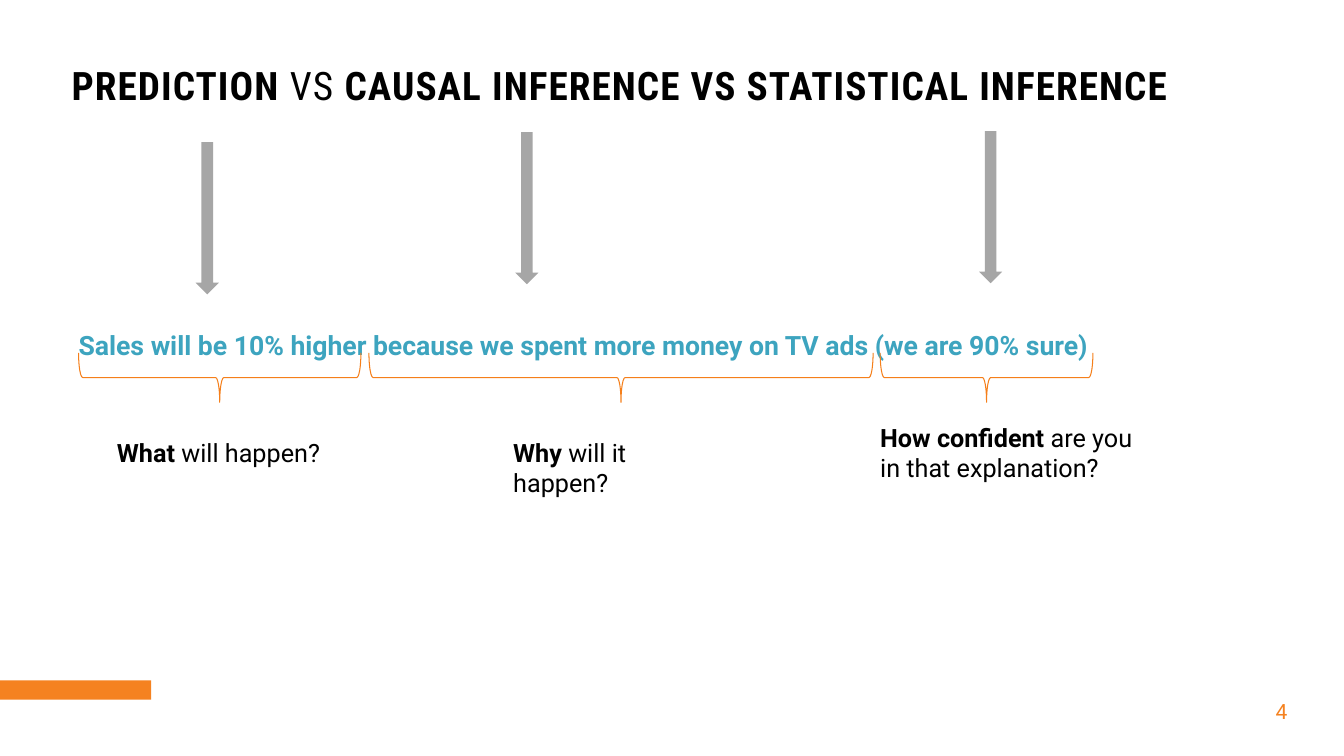
"""Build a slide that sets prediction beside causal and statistical inference."""
from dataclasses import dataclass

from pptx import Presentation
from pptx.dml.color import RGBColor
from pptx.enum.shapes import MSO_SHAPE as Preset
from pptx.enum.text import MSO_ANCHOR as Anchor, MSO_AUTO_SIZE as AutoSize, PP_ALIGN as Align
from pptx.shapes.autoshape import Shape
from pptx.slide import Slide
from pptx.text.text import TextFrame
from pptx.util import Inches, Pt

BLACK = RGBColor(0x00, 0x00, 0x00)
TEAL = RGBColor(0x3D, 0xA4, 0xBF)
GREY = RGBColor(0xA6, 0xA6, 0xA6)
BRACE_ORANGE = RGBColor(0xF5, 0x7F, 0x1A)
HOUSE_ORANGE = RGBColor(0xF5, 0x82, 0x20)
BODY_FONT = "Roboto"
TITLE_FONT = "Roboto Condensed"


@dataclass(frozen=True)
class Frame:
    left: float
    top: float
    width: float
    height: float


@dataclass(frozen=True)
class Style:
    size: float
    color: RGBColor
    font: str = BODY_FONT


@dataclass(frozen=True)
class Inference:
    arrow_left: float
    arrow_top: float
    brace_left: float
    brace_width: float
    question: Frame
    wording: tuple[tuple[str, bool], ...]


QUESTION_STYLE = Style(18, BLACK)
INFERENCES = (
    Inference(1.94, 1.41, 0.78, 2.8, Frame(1.16, 4.34, 2.12, 0.3),
              (("What", True), (" will happen?", False))),
    Inference(5.11, 1.31, 3.66, 5, Frame(5.09, 4.34, 2.12, 0.3),
              (("Why", True), (" will it happen?", False))),
    Inference(9.71, 1.3, 8.73, 2.11, Frame(8.73, 4.19, 2.6, 0.61),
              (("How confident", True), (" are you in that explanation?", False))),
)


def place(shape: Shape, frame: Frame) -> None:
    shape.left, shape.top = Inches(frame.left), Inches(frame.top)
    shape.width, shape.height = Inches(frame.width), Inches(frame.height)


def write(text_frame: TextFrame, wording: tuple[tuple[str, bool], ...], style: Style,
          align: Align = Align.LEFT, line_spacing: float = 1.0) -> None:
    text_frame.margin_left = text_frame.margin_right = 0
    text_frame.margin_top = text_frame.margin_bottom = 0
    text_frame.word_wrap = True
    text_frame.auto_size = AutoSize.NONE
    text_frame.vertical_anchor = Anchor.TOP
    paragraph = text_frame.paragraphs[0]
    paragraph.alignment = align
    paragraph.line_spacing = line_spacing
    for words, bold in wording:
        run = paragraph.add_run()
        run.text = words
        run.font.name = style.font
        run.font.size = Pt(style.size)
        run.font.bold = bold
        run.font.color.rgb = style.color


def add_text(slide: Slide, frame: Frame, wording: tuple[tuple[str, bool], ...], style: Style,
             align: Align = Align.LEFT, line_spacing: float = 1.0) -> None:
    box = slide.shapes.add_textbox(0, 0, 0, 0)
    place(box, frame)
    write(box.text_frame, wording, style, align, line_spacing)


def add_plain(slide: Slide, preset: Preset, frame: Frame) -> Shape:
    shape = slide.shapes.add_shape(preset, 0, 0, 0, 0)
    place(shape, frame)
    shape.shadow.inherit = False
    shape.line.fill.background()
    return shape


def add_turned(slide: Slide, preset: Preset, seen: Frame, rotation: float) -> Shape:
    shift = (seen.width - seen.height) / 2
    shape = add_plain(slide, preset, Frame(seen.left + shift, seen.top - shift,
                                           seen.height, seen.width))
    shape.rotation = rotation
    return shape


def add_inference(slide: Slide, inference: Inference) -> None:
    arrow = add_turned(slide, Preset.RIGHT_ARROW,
                       Frame(inference.arrow_left, inference.arrow_top, 0.23, 1.51), 90)
    arrow.fill.solid()
    arrow.fill.fore_color.rgb = GREY
    brace = add_turned(slide, Preset.LEFT_BRACE,
                       Frame(inference.brace_left, 3.5, inference.brace_width, 0.49), 270)
    brace.fill.background()
    brace.line.color.rgb = BRACE_ORANGE
    brace.line.width = Pt(0.75)
    add_text(slide, inference.question, inference.wording, QUESTION_STYLE)


def main() -> None:
    deck = Presentation()
    deck.slide_width, deck.slide_height = Inches(13.33), Inches(7.5)
    slide = deck.slides.add_slide(deck.slide_layouts[5])

    title = slide.shapes.title
    place(title, Frame(0.71, 0.65, 12.06, 0.49))
    write(title.text_frame,
          (("PREDICTION ", True), ("VS ", False),
           ("CAUSAL INFERENCE VS STATISTICAL INFERENCE", True)),
          Style(28, BLACK, TITLE_FONT), line_spacing=0.94)
    for run in title.text_frame.paragraphs[0].runs:
        run.font._element.set("spc", "80")

    house_band = add_plain(slide, Preset.RECTANGLE, Frame(0, 6.75, 1.5, 0.19))
    house_band.fill.solid()
    house_band.fill.fore_color.rgb = HOUSE_ORANGE

    add_text(slide, Frame(0.78, 3.18, 11.03, 4.3),
             (("Sales will be 10% higher because we spent more money on TV ads "
               "(we are 90% sure)", True),),
             Style(19, TEAL), line_spacing=1.25)
    for inference in INFERENCES:
        add_inference(slide, inference)
    add_text(slide, Frame(12.2, 6.93, 0.57, 0.28), (("4", False),),
             Style(15, HOUSE_ORANGE), Align.RIGHT)

    deck.save("out.pptx")


if __name__ == "__main__":
    main()
